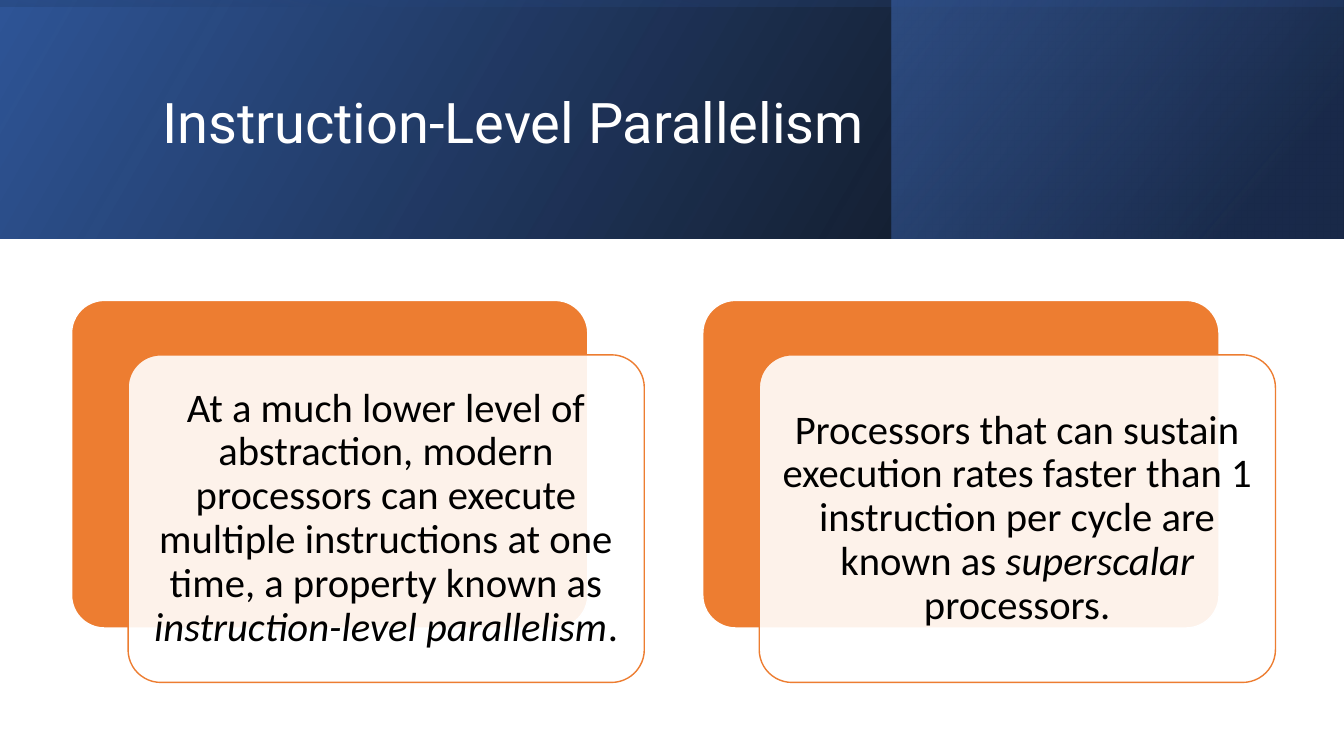
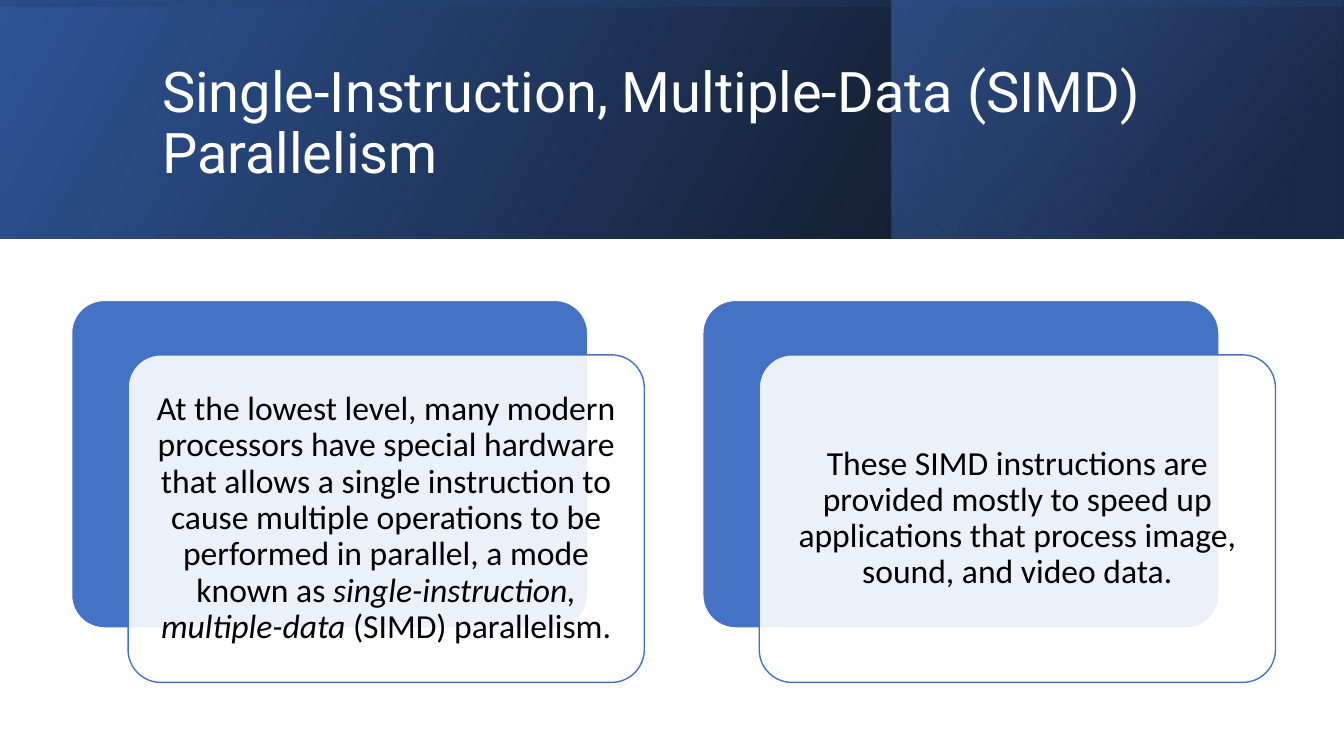
from dataclasses import dataclass

from lxml import etree
from pptx import Presentation
from pptx.dml.color import RGBColor
from pptx.enum.shapes import MSO_SHAPE
from pptx.enum.text import MSO_ANCHOR, PP_ALIGN
from pptx.oxml.ns import qn
from pptx.util import Inches, Pt

RECTANGLE = MSO_SHAPE.RECTANGLE
ROUNDED = MSO_SHAPE.ROUNDED_RECTANGLE
MIDDLE = MSO_ANCHOR.MIDDLE
LEFT, CENTER = PP_ALIGN.LEFT, PP_ALIGN.CENTER


@dataclass(frozen=True)
class Theme:
    white: str = "FFFFFF"
    black: str = "000000"
    navy: str = "203864"
    deep_blue: str = "2F5597"
    blue: str = "4472C4"
    orange: str = "ED7D31"
    title_font: str = "Roboto"
    body_font: str = "Calibri"
    title_size: int = 40
    large_size: int = 29
    medium_size: int = 24
    line_spacing: float = 0.9
    line_width: int = 1
    corner: float = 0.1
    card_opacity: int = 90


THEME = Theme()
SLIDE_WIDTH, SLIDE_HEIGHT = 13.33, 7.5
BAND_HEIGHT = 2.37
PANEL_LEFT, PANEL_WIDTH = 8.84, 4.48
CARD_LEFT, CARD_TOP = 0.71, 2.98
CARD_WIDTH, CARD_HEIGHT = 5.12, 3.25
CARD_PITCH = 6.26
CARD_SHIFT_X, CARD_SHIFT_Y = 0.56, 0.54


def set_opacity(color_element, percent):
    alpha = etree.SubElement(color_element, qn("a:alpha"))
    alpha.set("val", str(percent * 1000))


class Deck:
    """Holds the theme, the presentation and the slide being built."""

    def __init__(self, theme):
        self.theme = theme
        self.presentation = Presentation()
        self.presentation.slide_width = Inches(SLIDE_WIDTH)
        self.presentation.slide_height = Inches(SLIDE_HEIGHT)
        self.slide = None

    def add_slide(self, title):
        layout = self.presentation.slide_layouts[6]
        self.slide = self.presentation.slides.add_slide(layout)
        self.add_band()
        self.add_title(title)

    def add_shape(self, kind, left, top, width, height):
        shape = self.slide.shapes.add_shape(
            kind, Inches(left), Inches(top), Inches(width), Inches(height))
        shape.shadow.inherit = False
        return shape

    def add_gradient(self, left, top, width, height, angle, stops, rotation=0):
        """Add a mirrored rectangle; stops are (position, colour, opacity), in percent."""
        shape = self.add_shape(RECTANGLE, left, top, width, height)
        shape.rotation = rotation
        shape._element.spPr.find(qn("a:xfrm")).set("flipH", "1")
        shape.line.fill.background()
        shape.fill.gradient()
        shape.fill.gradient_angle = 360 - angle
        for stop, (position, color, _) in zip(shape.fill.gradient_stops, stops):
            stop.position = position / 100
            stop.color.rgb = RGBColor.from_string(color)
        color_elements = shape._element.spPr.iter(qn("a:srgbClr"))
        for color_element, (_, _, opacity) in zip(color_elements, stops):
            set_opacity(color_element, opacity)

    def add_band(self):
        theme = self.theme
        self.add_gradient(0, 0, SLIDE_WIDTH, BAND_HEIGHT, 330,
                          [(0, theme.black, 96), (100, theme.deep_blue, 100)])
        self.add_gradient(PANEL_LEFT, 0, PANEL_WIDTH, BAND_HEIGHT, 320,
                          [(19, theme.navy, 68), (100, theme.blue, 48)])
        offset = (SLIDE_WIDTH - BAND_HEIGHT) / 2
        self.add_gradient(offset, -offset, BAND_HEIGHT, SLIDE_WIDTH, 350,
                          [(23, theme.deep_blue, 16), (99, theme.black, 45)],
                          rotation=270)

    def add_title(self, title):
        theme = self.theme
        box = self.slide.shapes.add_textbox(
            Inches(1.51), Inches(0.38), Inches(10.63), Inches(1.72))
        self.add_runs(box.text_frame, [(title, False)], theme.title_font,
                      theme.title_size, theme.white, LEFT)

    def add_runs(self, frame, runs, font, size, color, alignment):
        frame.word_wrap = True
        frame.vertical_anchor = MIDDLE
        paragraph = frame.paragraphs[0]
        paragraph.alignment = alignment
        paragraph.line_spacing = self.theme.line_spacing
        for text, italic in runs:
            run = paragraph.add_run()
            run.text = text
            run.font.name = font
            run.font.size = Pt(size)
            run.font.italic = italic
            run.font.color.rgb = RGBColor.from_string(color)

    def add_rounded(self, left, top, fill, line):
        shape = self.add_shape(ROUNDED, left, top, CARD_WIDTH, CARD_HEIGHT)
        shape.adjustments[0] = self.theme.corner
        shape.fill.solid()
        shape.fill.fore_color.rgb = RGBColor.from_string(fill)
        shape.line.color.rgb = RGBColor.from_string(line)
        shape.line.width = Pt(self.theme.line_width)
        return shape

    def add_cards(self, cards, accent, size, inset):
        """Add a row of cards, each a translucent sheet over an accent block."""
        theme = self.theme
        for index, runs in enumerate(cards):
            left = CARD_LEFT + index * CARD_PITCH
            self.add_rounded(left, CARD_TOP, accent, theme.white)
            card = self.add_rounded(left + CARD_SHIFT_X, CARD_TOP + CARD_SHIFT_Y,
                                    theme.white, accent)
            fill = card._element.spPr.find(qn("a:solidFill"))
            set_opacity(fill[0], theme.card_opacity)
            frame = card.text_frame
            frame.margin_left = frame.margin_right = Inches(inset)
            frame.margin_top = frame.margin_bottom = Inches(inset)
            self.add_runs(frame, runs, theme.body_font, size, theme.black, CENTER)


def main():
    deck = Deck(THEME)

    deck.add_slide("Instruction-Level Parallelism")
    deck.add_cards([
        [("At a much lower level of abstraction, modern processors can execute "
          "multiple instructions at one time, a property known as ", False),
         ("instruction-level parallelism", True),
         (".", False)],
        [("Processors that can sustain execution rates faster than 1 "
          "instruction per cycle are known as ", False),
         ("superscalar ", True),
         ("processors.", False)],
    ], THEME.orange, THEME.large_size, 0.12)

    deck.add_slide("Single-Instruction, Multiple-Data (SIMD) Parallelism")
    deck.add_cards([
        [("At the lowest level, many modern processors have special hardware "
          "that allows a single instruction to cause multiple operations to be "
          "performed in parallel, a mode known as ", False),
         ("single-instruction, multiple-data ", True),
         ("(SIMD) parallelism.", False)],
        [("These SIMD instructions are provided mostly to speed up applications "
          "that process image, sound, and video data.", False)],
    ], THEME.blue, THEME.medium_size, 0.1)

    deck.presentation.save("out.pptx")


if __name__ == "__main__":
    main()
